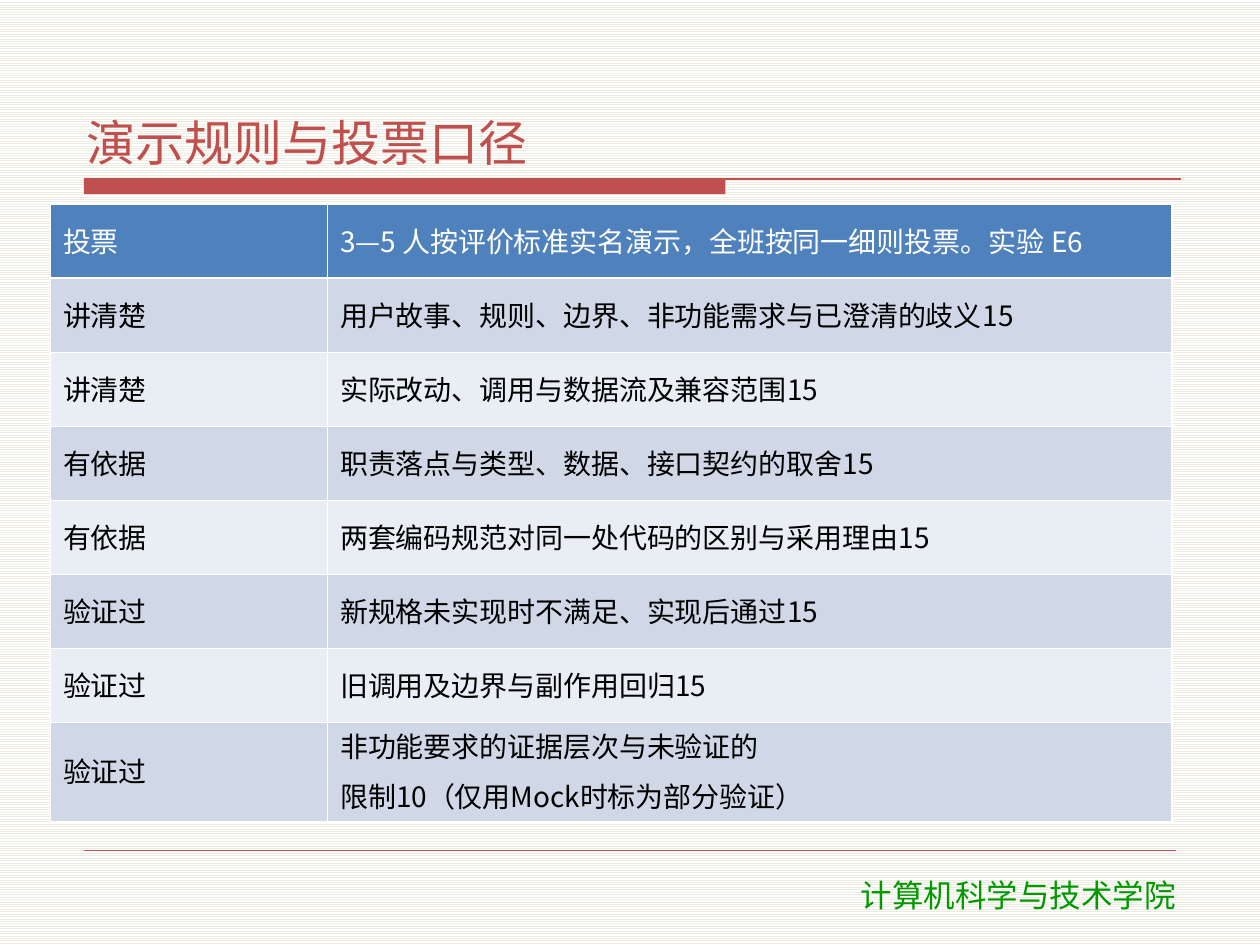
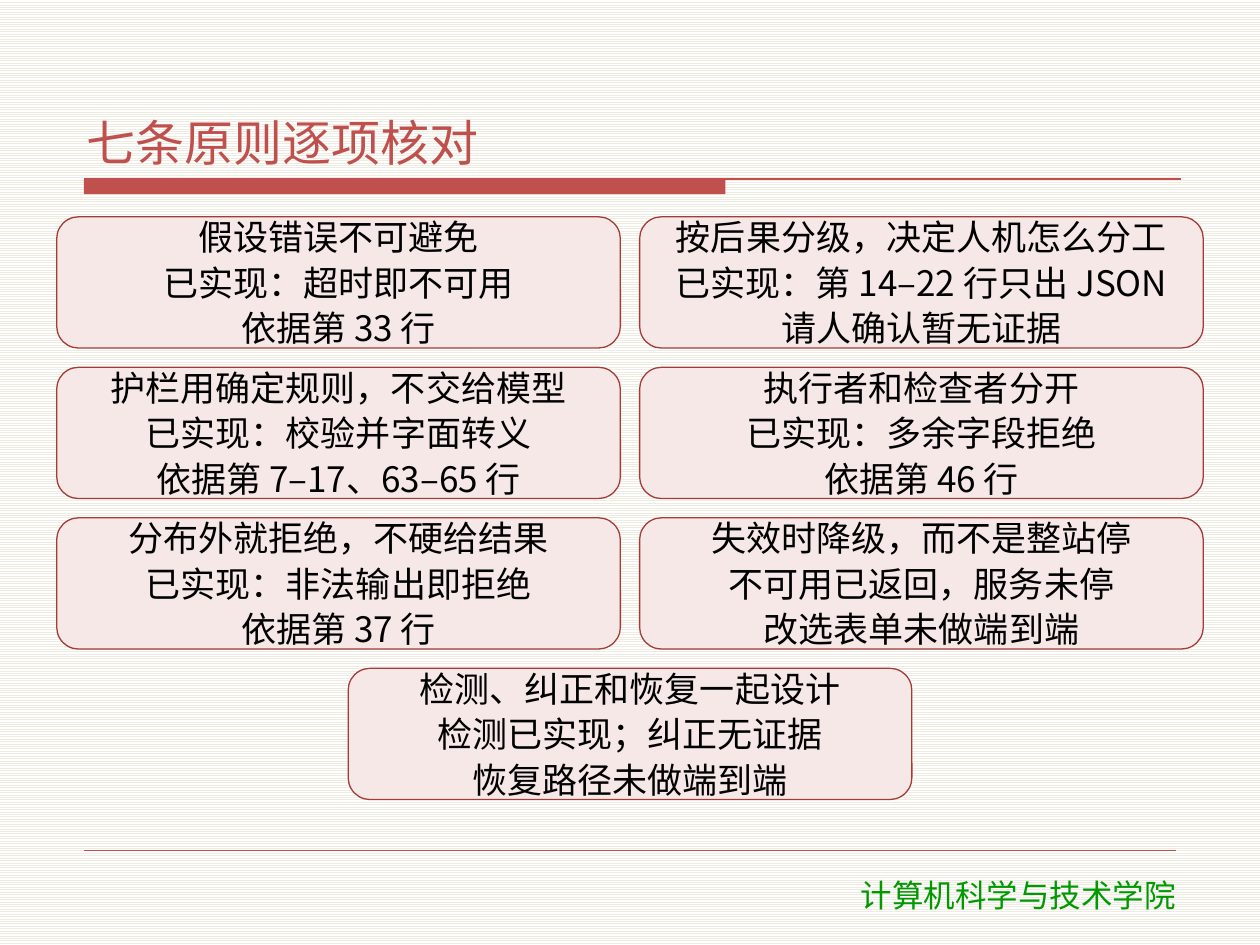
from lxml import etree
from pptx import Presentation
from pptx.dml.color import RGBColor
from pptx.enum.dml import MSO_PATTERN
from pptx.enum.shapes import MSO_CONNECTOR, MSO_SHAPE
from pptx.enum.text import MSO_ANCHOR, MSO_AUTO_SIZE, PP_ALIGN
from pptx.oxml.ns import qn
from pptx.util import Pt

LEFT, CENTER = PP_ALIGN.LEFT, PP_ALIGN.CENTER
MIDDLE, BOTTOM = MSO_ANCHOR.MIDDLE, MSO_ANCHOR.BOTTOM

# Content
RULES_TITLE = "演示规则与投票口径"
RULES = [
    ("投票", "3—5 人按评价标准实名演示，全班按同一细则投票。实验 E6"),
    ("讲清楚", "用户故事、规则、边界、非功能需求与已澄清的歧义15"),
    ("讲清楚", "实际改动、调用与数据流及兼容范围15"),
    ("有依据", "职责落点与类型、数据、接口契约的取舍15"),
    ("有依据", "两套编码规范对同一处代码的区别与采用理由15"),
    ("验证过", "新规格未实现时不满足、实现后通过15"),
    ("验证过", "旧调用及边界与副作用回归15"),
    ("验证过", "非功能要求的证据层次与未验证的\n限制10（仅用Mock时标为部分验证）"),
]
PRINCIPLES_TITLE = "七条原则逐项核对"
PRINCIPLES = [
    ("假设错误不可避免", "已实现：超时即不可用", "依据第 33 行"),
    ("按后果分级，决定人机怎么分工", "已实现：第 14–22 行只出 JSON", "请人确认暂无证据"),
    ("护栏用确定规则，不交给模型", "已实现：校验并字面转义", "依据第 7–17、63–65 行"),
    ("执行者和检查者分开", "已实现：多余字段拒绝", "依据第 46 行"),
    ("分布外就拒绝，不硬给结果", "已实现：非法输出即拒绝", "依据第 37 行"),
    ("失效时降级，而不是整站停", "不可用已返回，服务未停", "改选表单未做端到端"),
    ("检测、纠正和恢复一起设计", "检测已实现；纠正无证据", "恢复路径未做端到端"),
]
FOOTER = "计算机科学与技术学院"

# Style
FONT, FOOTER_FONT = "Noto Sans CJK SC", "DejaVu Sans"
RED, GREEN, WHITE, BLACK = "C0504D", "009900", "FFFFFF", "000000"
PAPER_LINE = "EEECE1"
HEADER_FILL, ROW_FILLS = "4F81BD", ("E9EDF4", "D0D8E8")
CARD_FILL, CARD_LINE = "F6E8E6", "A33B38"

# Layout in points
WIDTH, HEIGHT = 720, 540
RULE_LEFT, RULE_TOP = 48, 102.24
TABLE_LEFT, TABLE_TOP, COLUMNS = 28.8, 116.7, (158.4, 482.4)
ROW_HEIGHT, TWO_LINE_HEIGHT = 42.3, 56.6
CARD_MARGIN, CARD_TOP, CARD_HEIGHT, CARD_GAP = 32.4, 123.9, 75, 11


def rgb(color):
    return RGBColor.from_string(color)


def write(tf, lines, size, color, align=LEFT, font=FONT, before=0, after=2, spacing=None):
    """Fill a text frame with one paragraph per line."""
    tf.text = "\n".join(lines)
    for i, p in enumerate(tf.paragraphs):
        p.alignment = align
        p.space_before = Pt(before if i else 0)
        p.space_after = Pt(after)
        if spacing:
            p.line_spacing = spacing
        p.font.size, p.font.name = Pt(size), font
        p.font.color.rgb = rgb(color)
        if font == FONT:
            ea = etree.SubElement(p._p.pPr.find(qn("a:defRPr")), qn("a:ea"))
            ea.set("typeface", font)


def set_frame(tf, anchor):
    tf.word_wrap = True
    tf.auto_size = MSO_AUTO_SIZE.NONE
    tf.vertical_anchor = anchor
    tf.margin_left = tf.margin_right = Pt(4.32)
    tf.margin_top = tf.margin_bottom = Pt(1.44)


def add_rule(s, left, right, y, width):
    line = s.shapes.add_connector(MSO_CONNECTOR.STRAIGHT, Pt(left), Pt(y), Pt(right), Pt(y))
    line.line.color.rgb = rgb(RED)
    line.line.width = Pt(width)
    etree.SubElement(line._element.spPr, qn("a:effectLst"))


def add_slide(prs, title):
    """Add a slide with the paper background, title, rules and footer."""
    s = prs.slides.add_slide(prs.slide_layouts[5])
    fill = s.background.fill
    fill.patterned()
    fill.pattern = MSO_PATTERN.LIGHT_HORIZONTAL
    fill.fore_color.rgb, fill.back_color.rgb = rgb(PAPER_LINE), rgb(WHITE)

    bar = s.shapes.add_shape(MSO_SHAPE.RECTANGLE, Pt(RULE_LEFT), Pt(RULE_TOP), Pt(366.5), Pt(8.64))
    bar.shadow.inherit = False
    bar.fill.solid()
    bar.fill.fore_color.rgb = rgb(RED)
    bar.line.fill.background()
    add_rule(s, RULE_LEFT, 674.6, RULE_TOP, 0.75)
    add_rule(s, RULE_LEFT, WIDTH - RULE_LEFT, 486, 0.25)

    footer = s.shapes.add_textbox(Pt(437), Pt(496.8), Pt(289.5), Pt(28.8))
    footer.text_frame.word_wrap = True
    write(footer.text_frame, [FOOTER], 18, GREEN, CENTER, FOOTER_FONT, after=0)

    t = s.shapes.title
    t.left, t.top, t.width, t.height = Pt(45.36), Pt(24), Pt(630), Pt(75.6)
    set_frame(t.text_frame, BOTTOM)
    write(t.text_frame, [title], 28, RED)
    return s


def border_cell(cell):
    for side in "LRTB":
        ln = etree.SubElement(cell._tc.get_or_add_tcPr(), qn(f"a:ln{side}"), w=str(Pt(1)))
        fill = etree.SubElement(ln, qn("a:solidFill"))
        etree.SubElement(fill, qn("a:srgbClr"), val=WHITE)


def add_rules_table(s):
    """Add the table; a row with a two-line cell is made taller."""
    heights = [TWO_LINE_HEIGHT if "\n" in text else ROW_HEIGHT for _, text in RULES]
    table = s.shapes.add_table(len(RULES), len(COLUMNS), Pt(TABLE_LEFT), Pt(TABLE_TOP),
                               Pt(sum(COLUMNS)), Pt(sum(heights))).table
    for column, width in zip(table.columns, COLUMNS):
        column.width = Pt(width)
    for r, texts in enumerate(RULES):
        table.rows[r].height = Pt(heights[r])
        for c, text in enumerate(texts):
            cell = table.cell(r, c)
            border_cell(cell)
            cell.fill.solid()
            cell.fill.fore_color.rgb = rgb(ROW_FILLS[r % 2] if r else HEADER_FILL)
            cell.vertical_anchor = MIDDLE
            write(cell.text_frame, text.split("\n"), 16, BLACK if r else WHITE,
                  before=6, spacing=0.9)


def add_principle_cards(s):
    """Lay the cards out in two columns, with a lone last card centred."""
    width = (WIDTH - 2 * CARD_MARGIN - CARD_GAP) / 2
    for i, lines in enumerate(PRINCIPLES):
        row, col = divmod(i, 2)
        alone = col == 0 and i == len(PRINCIPLES) - 1
        x = (WIDTH - width) / 2 if alone else CARD_MARGIN + col * (width + CARD_GAP)
        y = CARD_TOP + row * (CARD_HEIGHT + CARD_GAP)
        card = s.shapes.add_shape(MSO_SHAPE.ROUNDED_RECTANGLE, Pt(x), Pt(y),
                                  Pt(width), Pt(CARD_HEIGHT))
        card.shadow.inherit = False
        card.fill.solid()
        card.fill.fore_color.rgb = rgb(CARD_FILL)
        card.line.color.rgb = rgb(CARD_LINE)
        card.line.width = Pt(0.75)
        set_frame(card.text_frame, MIDDLE)
        write(card.text_frame, lines, 20, BLACK, CENTER)


def main():
    prs = Presentation()
    prs.slide_width, prs.slide_height = Pt(WIDTH), Pt(HEIGHT)
    add_rules_table(add_slide(prs, RULES_TITLE))
    add_principle_cards(add_slide(prs, PRINCIPLES_TITLE))
    prs.save("out.pptx")


if __name__ == "__main__":
    main()
